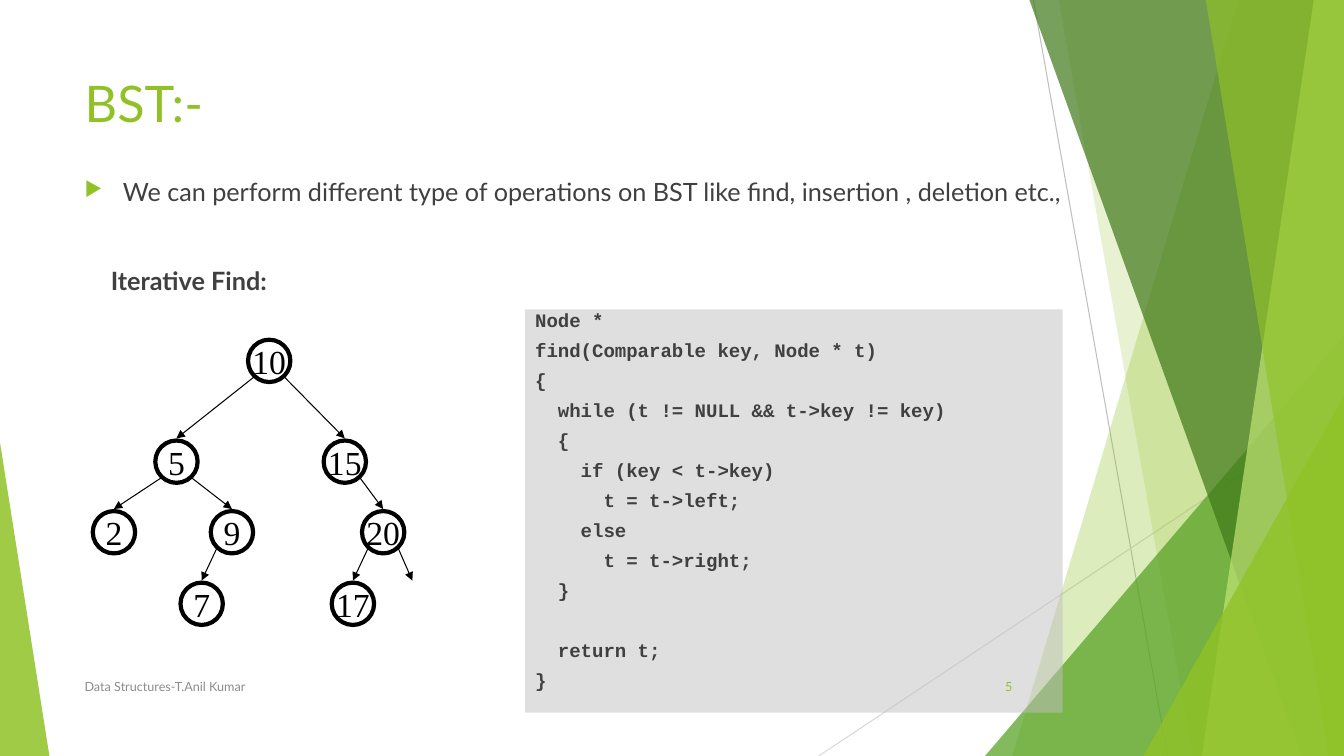
import pptx
import pptx.dml.color
import pptx.enum.shapes
import pptx.enum.text
import pptx.oxml
import pptx.oxml.ns
import pptx.util
from pptx.dml.color import RGBColor
from pptx.enum.shapes import MSO_SHAPE
from pptx.enum.text import MSO_ANCHOR, PP_ALIGN
from pptx.util import Inches

WIDTH, HEIGHT = 13.33, 7.5
LIME = RGBColor(0x90, 0xC2, 0x26)
PALE_LIME = RGBColor(0xC0, 0xE4, 0x74)
GREEN = RGBColor(0x54, 0xA0, 0x21)
DARK_GREEN = RGBColor(0x3F, 0x78, 0x19)
SILVER = RGBColor(0xC0, 0xC0, 0xC0)
RULE_GRAY = RGBColor(0xBF, 0xBF, 0xBF)
LIGHT_RULE = RGBColor(0xD9, 0xD9, 0xD9)
TEXT_GRAY = RGBColor(0x40, 0x40, 0x40)
FOOTER_GRAY = RGBColor(0x8C, 0x8C, 0x8C)
BLACK = RGBColor(0, 0, 0)

NODE_SIZE = 0.42
# Label: centre of the node within the tree's box
NODES = {
    "10": (1.75, 0.21), "5": (0.83, 1.21), "15": (2.5, 1.21),
    "2": (0.21, 1.91), "9": (1.38, 1.91), "20": (2.88, 1.91),
    "7": (1.08, 2.62), "17": (2.58, 2.62),
}
EMPTY_CHILD = (3.17, 2.62)
EDGES = [("10", "5"), ("10", "15"), ("5", "2"), ("5", "9"),
         ("15", "20"), ("9", "7"), ("20", "17"), ("20", None)]

CODE = """Node *
find(Comparable key, Node * t)
{
  while (t != NULL && t->key != key)
  {
    if (key < t->key)
      t = t->left;
    else
      t = t->right;
  }

  return t;
}"""


def add_xml(parent, tag, **attributes):
    child = pptx.oxml.parse_xml(
        f'<a:{tag} xmlns:a="http://schemas.openxmlformats.org/drawingml/2006/main"/>')
    for name, value in attributes.items():
        child.set(name, str(value))
    parent.append(child)
    return child


def fill_solid(shape, color, opacity):
    """Fill without outline or shadow; opacity is a percentage."""
    shape.shadow.inherit = False
    shape.fill.solid()
    shape.fill.fore_color.rgb = color
    shape.line.fill.background()
    solid = shape.fill._xPr.find(pptx.oxml.ns.qn("a:solidFill"))
    add_xml(solid[0], "alpha", val=opacity * 1000)


def add_line(page, start, end, color, arrow=False):
    line = page.shapes.add_connector(
        pptx.enum.shapes.MSO_CONNECTOR.STRAIGHT,
        *[Inches(value) for value in (*start, *end)])
    line.line.color.rgb = color
    line.line.width = pptx.util.Pt(0.75)
    if arrow:
        add_xml(line.line._get_or_add_ln(), "tailEnd", type="triangle")
    add_xml(line._element.spPr, "effectLst")


def add_span(para, text, size, color, font="Lato", bold=False):
    span = para.add_run()
    span.text = text
    span.font.name = font
    span.font.size = pptx.util.Pt(size)
    span.font.bold = bold
    span.font.color.rgb = color


def add_text_box(page, left, top, width, height, anchor=MSO_ANCHOR.TOP):
    box = page.shapes.add_textbox(*[Inches(v) for v in (left, top, width, height)])
    box.text_frame.word_wrap = True
    box.text_frame.vertical_anchor = anchor
    return box.text_frame


def add_band(page, top_x, bottom_x, color, opacity):
    """Full-height band reaching from a slanted edge to the right of the page."""
    builder = page.shapes.build_freeform(Inches(top_x), 0)
    corners = [(WIDTH, 0), (WIDTH, HEIGHT), (bottom_x, HEIGHT)]
    builder.add_line_segments([(Inches(x), Inches(y)) for x, y in corners])
    fill_solid(builder.convert_to_shape(), color, opacity)


def add_corner(page, left, top, width, apex, color, opacity):
    """Triangle standing on the bottom edge; apex 0 is left, 1 is right."""
    shape = page.shapes.add_shape(
        MSO_SHAPE.ISOSCELES_TRIANGLE,
        *[Inches(v) for v in (left, top, width, HEIGHT - top)])
    shape.adjustments[0] = apex
    fill_solid(shape, color, opacity)


def add_backdrop(page):
    add_line(page, (10.25, 0), (11.58, HEIGHT), RULE_GRAY)
    add_line(page, (WIDTH, 4.03), (8.12, HEIGHT), LIGHT_RULE)
    add_band(page, 12.28, 10.04, LIME, 30)
    add_band(page, 10.5, 11.83, LIME, 20)
    add_corner(page, 9.77, 3.33, 3.56, 1, GREEN, 72)
    add_band(page, 10.21, 12.91, DARK_GREEN, 70)
    add_band(page, 13.03, 11.92, PALE_LIME, 70)
    add_band(page, 11.96, 13.18, LIME, 65)
    add_corner(page, 11.34, 3.93, 1.99, 1, LIME, 80)
    add_corner(page, 0, 4.39, 0.49, 0, LIME, 85)


def add_title(page, left, top, width, height):
    title = page.shapes.title
    title.left, title.top, title.width, title.height = [
        Inches(v) for v in (left, top, width, height)]
    title.text_frame.vertical_anchor = MSO_ANCHOR.TOP
    para = title.text_frame.paragraphs[0]
    para.alignment = PP_ALIGN.LEFT
    add_span(para, "BST:-", 36, LIME)


def add_body(page, left, top, width, height):
    frame = add_text_box(page, left, top, width, height)
    para = frame.paragraphs[0]
    props = para._p.get_or_add_pPr()
    props.set("marL", str(Inches(0.38)))
    props.set("indent", str(-Inches(0.38)))
    add_xml(add_xml(props, "buClr"), "srgbClr", val=LIME)
    add_xml(props, "buSzPct", val=80000)
    add_xml(props, "buChar", char="▶")
    add_span(para, "We can perform different type of operations on BST like find, "
             "insertion , deletion etc.,", 18, TEXT_GRAY)
    heading = frame.add_paragraph()
    heading._p.get_or_add_pPr().set("marL", str(Inches(0.26)))
    heading.space_before = pptx.util.Pt(42)
    add_span(heading, "Iterative Find:", 18, TEXT_GRAY, bold=True)


def add_node(page, label, x, y):
    node = page.shapes.add_shape(
        MSO_SHAPE.OVAL, Inches(x - NODE_SIZE / 2), Inches(y - NODE_SIZE / 2),
        Inches(NODE_SIZE), Inches(NODE_SIZE))
    node.shadow.inherit = False
    node.fill.background()
    node.line.color.rgb = BLACK
    node.line.width = pptx.util.Pt(3)
    frame = node.text_frame
    frame.word_wrap = False
    frame.vertical_anchor = MSO_ANCHOR.MIDDLE
    frame.margin_left = frame.margin_right = frame.margin_top = frame.margin_bottom = 0
    frame.paragraphs[0].alignment = PP_ALIGN.CENTER
    add_span(frame.paragraphs[0], label, 24, BLACK, "Times New Roman")


def add_tree(page, left, top):
    for label, (x, y) in NODES.items():
        add_node(page, label, left + x, top + y)
    for parent, child in EDGES:
        x, y = NODES[parent]
        child_x, child_y = NODES.get(child, EMPTY_CHILD)
        side = 0.15 if child_x > x else -0.15
        add_line(page, (left + x + side, top + y + 0.16),
                 (left + child_x, top + child_y - 0.23), BLACK, arrow=True)


def add_code(page, left, top, width, height):
    panel = page.shapes.add_shape(
        MSO_SHAPE.RECTANGLE, *[Inches(v) for v in (left, top, width, height)])
    fill_solid(panel, SILVER, 50)
    frame = panel.text_frame
    frame.word_wrap = True
    frame.vertical_anchor = MSO_ANCHOR.TOP
    for number, line in enumerate(CODE.split("\n")):
        para = frame.add_paragraph() if number else frame.paragraphs[0]
        para.alignment = PP_ALIGN.LEFT
        para.line_spacing = 0.7
        if number:
            para.space_before = pptx.util.Pt(10)
        add_span(para, line, 13.6, TEXT_GRAY, "Courier New", bold=True)


def add_footer(page, left, top, width, height):
    credit = add_text_box(page, left, top, 6.89, height, MSO_ANCHOR.MIDDLE)
    add_span(credit.paragraphs[0], "Data Structures-T.Anil Kumar", 9, FOOTER_GRAY)
    number = add_text_box(page, left + width - 0.75, top, 0.75, height, MSO_ANCHOR.MIDDLE)
    number.paragraphs[0].alignment = PP_ALIGN.RIGHT
    add_span(number.paragraphs[0], "5", 9, LIME)


def main():
    deck = pptx.Presentation()
    deck.slide_width, deck.slide_height = Inches(WIDTH), Inches(HEIGHT)
    page = deck.slides.add_slide(deck.slide_layouts.get_by_name("Title Only"))
    add_backdrop(page)
    add_title(page, 0.74, 0.67, 9.4, 0.74)
    add_body(page, 0.74, 1.7, 9.95, 1.3)
    add_tree(page, 0.92, 3.37)
    add_code(page, 5.21, 3.07, 5.33, 4)
    add_footer(page, 0.74, 6.61, 9.4, 0.4)
    deck.save("out.pptx")


if __name__ == "__main__":
    main()
